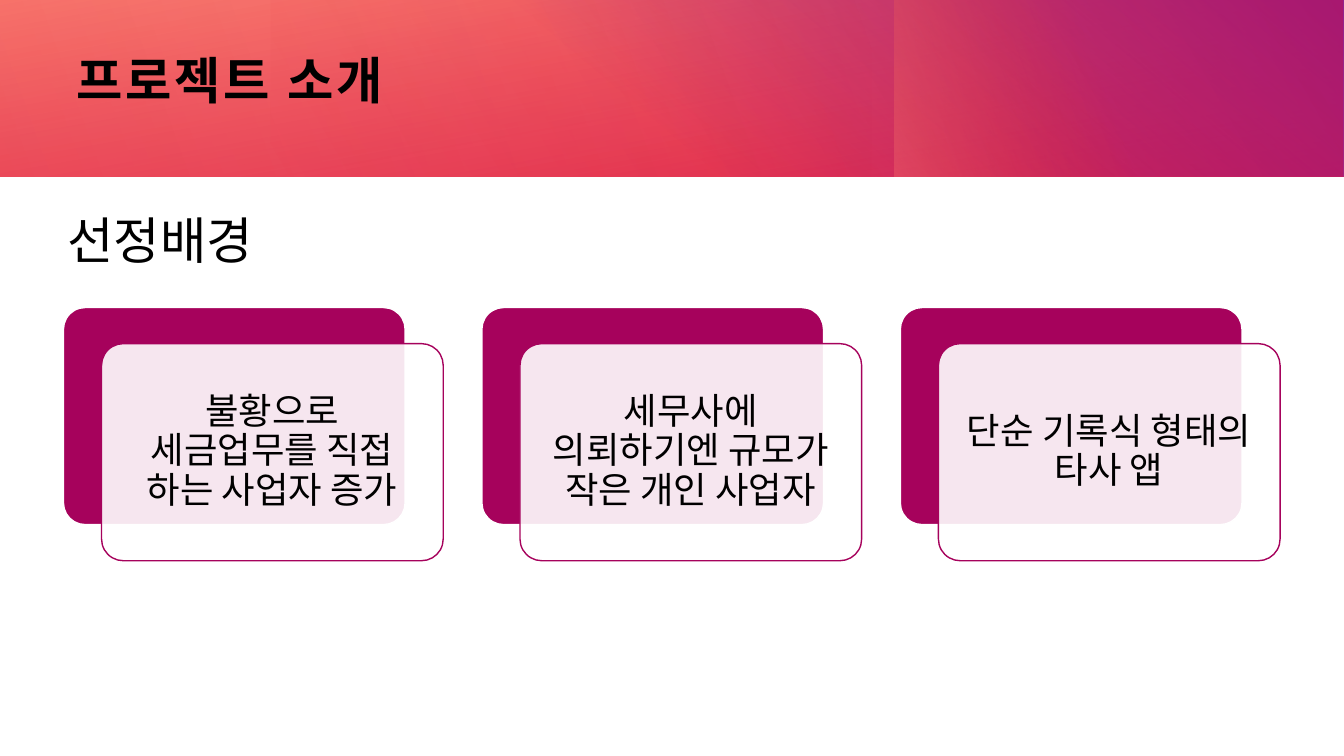
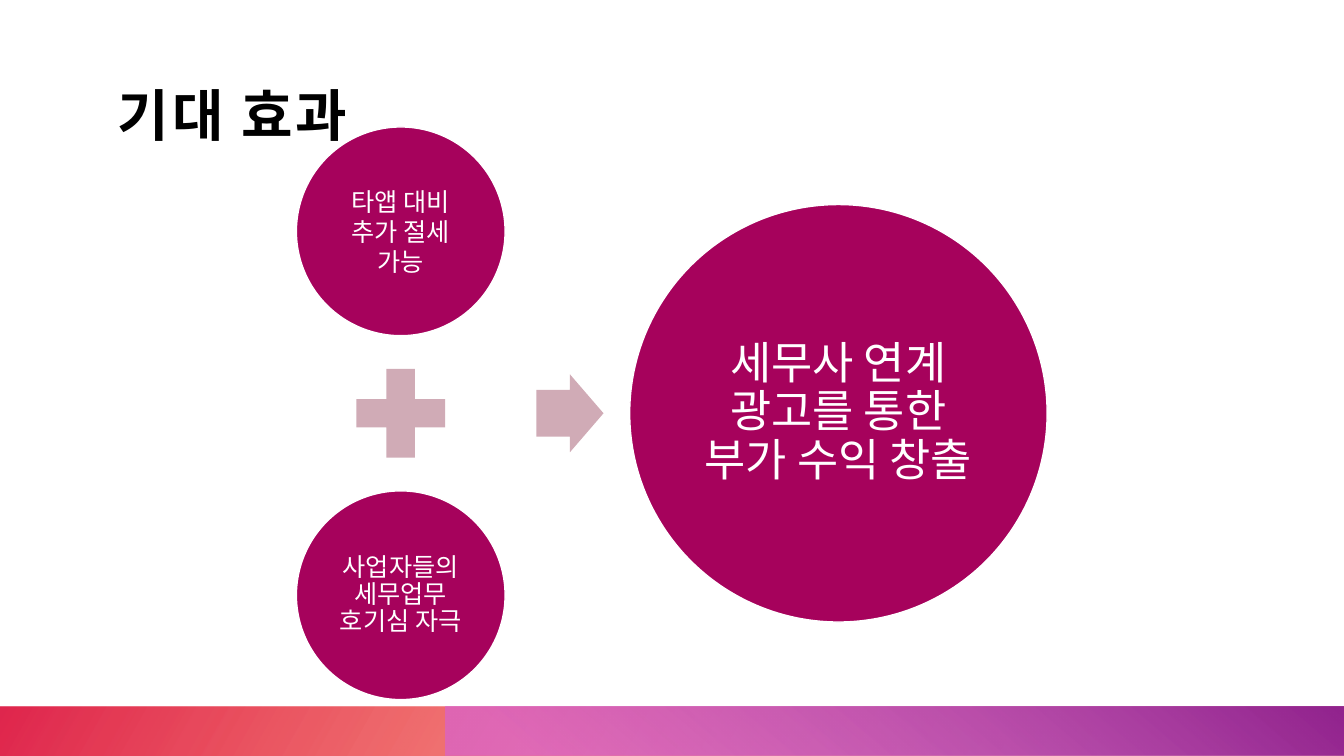
from pptx import Presentation
from pptx.dml.color import RGBColor
from pptx.enum.shapes import MSO_SHAPE as Preset
from pptx.enum.text import MSO_ANCHOR as Anchor, PP_ALIGN as Align
from pptx.oxml.ns import qn
from pptx.util import Cm, Pt
from lxml.etree import SubElement

COLORS = {
    "black": "000000", "white": "FFFFFF", "berry": "A6025C", "dusty": "D0ABB6",
    "red": "DA002F", "orange": "FE4A00", "coral": "FF907A",
    "purple": "92248E", "pink": "D861D4",
}
HEAD_FONT = "Roboto"
BODY_FONT = "Noto Sans CJK KR"
PAGE_W, PAGE_H = 33.87, 19.05

HEADER_LAYERS = [
    (0, 33.87, 260, 0, False, [(0, "red", 83), (100, "coral", 100)]),
    (12.22, 21.65, 310, 0, False, [(22, "purple", 0), (99, "purple", 100)]),
    (22.54, 9.5, 250, 270, False, [(45, "orange", 0), (99, "coral", 33)]),
    (6.81, 27.03, 330, 180, False, [(0, "red", 30), (99, "red", 0)]),
    (0, 21.97, 340, 0, False, [(0, "red", 21), (99, "red", 0)]),
]
FOOTER_LAYERS = [
    (0, 33.87, 150, 180, True, [(14, "orange", 28), (100, "red", 85)]),
    (11.22, 22.65, 230, 0, True, [(9, "pink", 68), (99, "purple", 100)]),
]


def rgb(name):
    return RGBColor.from_string(COLORS[name])


def add_alpha(color_element, percent):
    SubElement(color_element, qn("a:alpha")).set("val", str(percent * 1000))


def add_figure(page, preset, box, fill=None, line=None):
    figure = page.shapes.add_shape(preset, *map(Cm, box))
    figure.shadow.inherit = False
    if fill:
        figure.fill.solid()
        figure.fill.fore_color.rgb = rgb(fill)
    if line:
        figure.line.color.rgb = rgb(line)
        figure.line.width = Pt(1)
    else:
        figure.line.fill.background()
    return figure


def write_text(shape, text, size, color, font=BODY_FONT, bold=False, spacing=None,
               tracking=0, align=Align.LEFT, anchor=Anchor.MIDDLE,
               insets=(0.25, 0.13, 0.25, 0.13)):
    frame = shape.text_frame
    frame.word_wrap = True
    frame.vertical_anchor = anchor
    frame.margin_left, frame.margin_top, frame.margin_right, frame.margin_bottom = map(Cm, insets)
    para = frame.paragraphs[0]
    para.alignment = align
    if spacing:
        para.line_spacing = spacing
    span = para.add_run()
    span.text = text
    span.font.size = Pt(size)
    span.font.bold = bold
    span.font.name = font
    span.font.color.rgb = rgb(color)
    properties = span.font._element
    if tracking:
        properties.set("spc", str(tracking * 100))
    SubElement(properties, qn("a:ea")).set("typeface", BODY_FONT)


def fill_gradient(shape, angle, stops):
    shape.fill.gradient()
    gradient = shape._element.spPr.find(qn("a:gradFill"))
    gradient.set("rotWithShape", "1")
    for child in list(gradient):
        gradient.remove(child)
    stop_list = SubElement(gradient, qn("a:gsLst"))
    for position, name, opacity in stops:
        stop = SubElement(stop_list, qn("a:gs"))
        stop.set("pos", str(position * 1000))
        color = SubElement(stop, qn("a:srgbClr"))
        color.set("val", COLORS[name])
        add_alpha(color, opacity)
    direction = SubElement(gradient, qn("a:lin"))
    direction.set("ang", str(angle * 60000))
    direction.set("scaled", "0")


def draw_band(page, box, layers):
    left, top, _, height = box
    for offset, width, angle, rotation, flipped, stops in layers:
        w, h = (height, width) if rotation == 270 else (width, height)
        x = left + offset + (width - w) / 2
        y = top + (height - h) / 2
        layer = add_figure(page, Preset.RECTANGLE, (x, y, w, h))
        layer.rotation = rotation
        if flipped:
            layer._element.spPr.find(qn("a:xfrm")).set("flipH", "1")
        fill_gradient(layer, angle, stops)


def draw_title(page, box, text, size, spacing):
    title = page.shapes.add_textbox(*map(Cm, box))
    write_text(title, text, size, "black", HEAD_FONT, bold=True, spacing=spacing,
               tracking=2, insets=(0.3, 0.3, 0.3, 1.1))


def draw_cards(page, box, texts):
    left, top, width, height = box
    shift_x, shift_y = 0.96, 0.91
    card_w, card_h = 8.61, height - shift_y
    step = (width - card_w - shift_x) / (len(texts) - 1)
    for index, text in enumerate(texts):
        x = left + index * step
        back = add_figure(page, Preset.ROUNDED_RECTANGLE, (x, top, card_w, card_h), "berry", "white")
        front = add_figure(page, Preset.ROUNDED_RECTANGLE,
                           (x + shift_x, top + shift_y, card_w, card_h), "white", "berry")
        back.adjustments[0] = front.adjustments[0] = 0.1
        add_alpha(front._element.spPr.find(qn("a:solidFill"))[0], 90)
        write_text(front, text, 26, "black", spacing=0.9, align=Align.CENTER,
                   insets=(0.3, 0.28, 0.3, 0.28))


def draw_circle(page, box, text, size, spacing):
    circle = add_figure(page, Preset.OVAL, box, "berry", "white")
    write_text(circle, text, size, "white", spacing=spacing, align=Align.CENTER,
               insets=(0.08,) * 4)


def draw_equation(page, box, terms, result):
    left, top, width, height = box
    small, large, plus = 5.26, 10.52, 3.05
    arrow_w, arrow_h = 1.69, 1.96
    middle = top + height / 2
    for y, (text, spacing) in zip((top, top + height - small), terms):
        draw_circle(page, (left, y, small, small), text, 18, spacing)
    add_figure(page, Preset.MATH_PLUS,
               (left + (small - plus) / 2, middle - plus / 2, plus, plus), "dusty")
    arrow = add_figure(page, Preset.RIGHT_ARROW,
                       (left + small + 0.79, middle - arrow_h / 2, arrow_w, arrow_h), "dusty")
    arrow.adjustments[0], arrow.adjustments[1] = 0.6, 0.5
    draw_circle(page, (left + width - large, middle - large / 2, large, large), result, 32, 0.9)


def build_background_page(page):
    draw_band(page, (0, 0, PAGE_W, 4.45), HEADER_LAYERS)
    draw_title(page, (1.63, 0.91, 28.83, 2.69), "프로젝트 소개", 36, 1.2)
    draw_cards(page, (1.6, 7.75, 30.66, 6.38), [
        "불황으로 세금업무를 직접 하는 사업자 증가",
        "세무사에 의뢰하기엔 규모가 작은 개인 사업자",
        "단순 기록식 형태의 타사 앱",
    ])
    heading = page.shapes.add_textbox(Cm(1.45), Cm(5.13), Cm(9.63), Cm(1.8))
    write_text(heading, "선정배경", 36, "black", HEAD_FONT, anchor=Anchor.TOP)


def build_effects_page(page):
    draw_title(page, (2.67, 0, 9.25, 6.05), "기대 효과", 40, 1.3)
    draw_band(page, (0, 17.81, PAGE_W, 1.24), FOOTER_LAYERS)
    draw_equation(page, (7.47, 3.2, 18.92, 14.43),
                  [("타앱 대비 추가 절세 가능", 1.0), ("사업자들의 세무업무 호기심 자극", 0.9)],
                  "세무사 연계 광고를 통한 부가 수익 창출")


def main():
    deck = Presentation()
    deck.slide_width, deck.slide_height = Cm(PAGE_W), Cm(PAGE_H)
    for build in (build_background_page, build_effects_page):
        build(deck.slides.add_slide(deck.slide_layouts[6]))
    deck.save("out.pptx")


if __name__ == "__main__":
    main()
